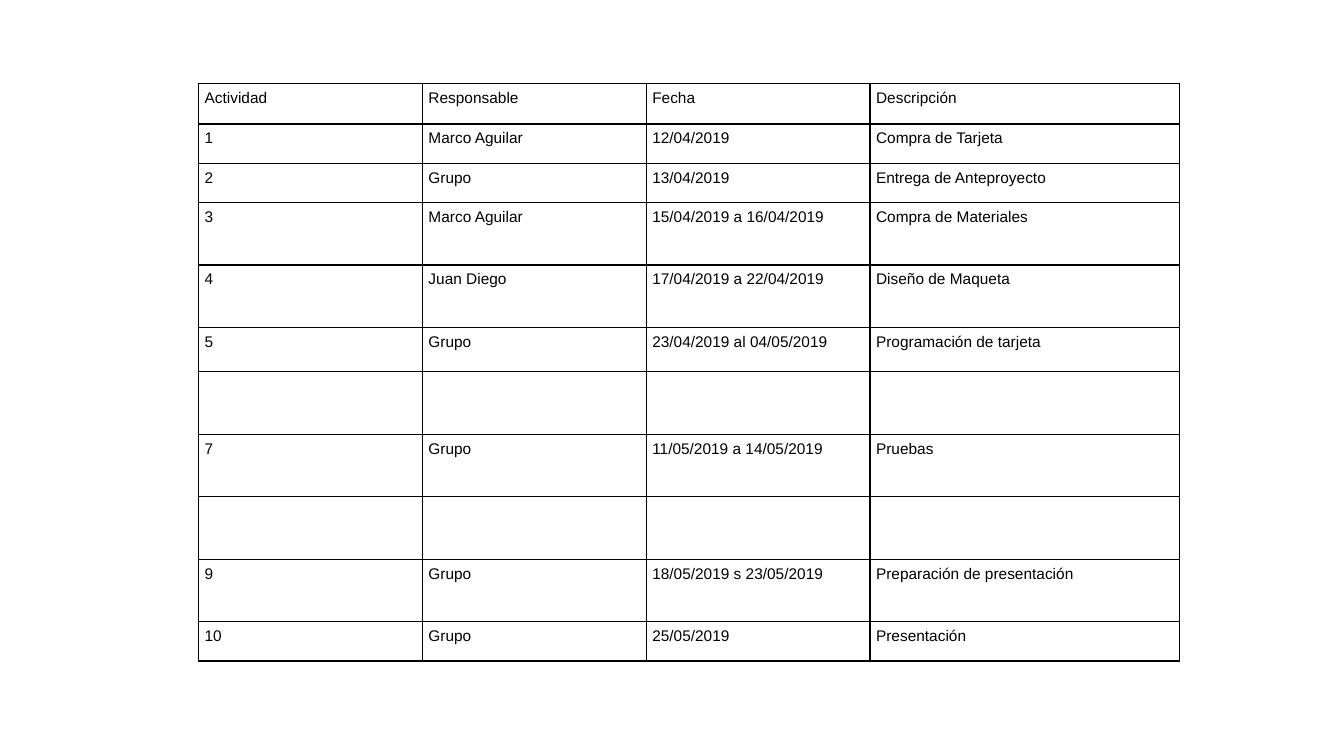
"""Build a one-slide project schedule table."""
from dataclasses import dataclass

from lxml import etree
from pptx import Presentation
from pptx import util as u
from pptx.dml.color import RGBColor
from pptx.oxml import ns

HEADINGS = ("Actividad", "Responsable", "Fecha", "Descripción")
BLANK = ("", "", "", "")
ACTIVITIES = [
    ("1", "Marco Aguilar", "12/04/2019", "Compra de Tarjeta"),
    ("2", "Grupo", "13/04/2019", "Entrega de Anteproyecto"),
    ("3", "Marco Aguilar", "15/04/2019 a 16/04/2019", "Compra de Materiales"),
    ("4", "Juan Diego", "17/04/2019 a 22/04/2019", "Diseño de Maqueta"),
    ("5", "Grupo", "23/04/2019 al 04/05/2019", "Programación de tarjeta"),
    BLANK,
    ("7", "Grupo", "11/05/2019 a 14/05/2019", "Pruebas"),
    BLANK,
    ("9", "Grupo", "18/05/2019 s 23/05/2019", "Preparación de presentación"),
    ("10", "Grupo", "25/05/2019", "Presentación"),
]
SHORT, MIDDLE, TALL = 0.39, 0.44, 0.62
ROW_HEIGHTS = [0.4, SHORT, SHORT, TALL, TALL, MIDDLE, TALL, TALL, TALL, TALL, SHORT]
COLUMN_WIDTHS = [2.22, 2.22, 2.22, 3.07]
LEFT, TOP, INSET = 1.97, 0.83, 0.06


@dataclass(frozen=True)
class Theme:
    font: str = "Arial"
    size: int = 11
    ink: str = "000000"
    paper: str = "FFFFFF"
    border: int = 1


THEME = Theme()


def add_borders(cell):
    properties = cell._tc.get_or_add_tcPr()
    for side in ("lnL", "lnR", "lnT", "lnB"):
        line = etree.SubElement(properties, ns.qn(f"a:{side}"), w=str(u.Pt(THEME.border)))
        fill = etree.SubElement(line, ns.qn("a:solidFill"))
        etree.SubElement(fill, ns.qn("a:srgbClr"), val=THEME.ink)


def fill_cell(cell, wording):
    add_borders(cell)
    cell.fill.solid()
    cell.fill.fore_color.rgb = RGBColor.from_string(THEME.paper)
    cell.margin_left = cell.margin_right = u.Inches(INSET)
    cell.margin_top = cell.margin_bottom = u.Inches(INSET)
    cell.text = wording
    font = cell.text_frame.paragraphs[0].font
    font.name, font.size = THEME.font, u.Pt(THEME.size)
    font.color.rgb = RGBColor.from_string(THEME.ink)


deck = Presentation()
deck.slide_width, deck.slide_height = u.Inches(13.33), u.Inches(7.5)
page = deck.slides.add_slide(deck.slide_layouts[6])

schedule = page.shapes.add_table(
    len(ROW_HEIGHTS), len(COLUMN_WIDTHS), u.Inches(LEFT), u.Inches(TOP),
    u.Inches(sum(COLUMN_WIDTHS)), u.Inches(sum(ROW_HEIGHTS))).table
schedule.first_row = schedule.horz_banding = False
for column, width in zip(schedule.columns, COLUMN_WIDTHS):
    column.width = u.Inches(width)
for row, height, entries in zip(schedule.rows, ROW_HEIGHTS, [HEADINGS, *ACTIVITIES]):
    row.height = u.Inches(height)
    for cell, wording in zip(row.cells, entries):
        fill_cell(cell, wording)

deck.save("out.pptx")
